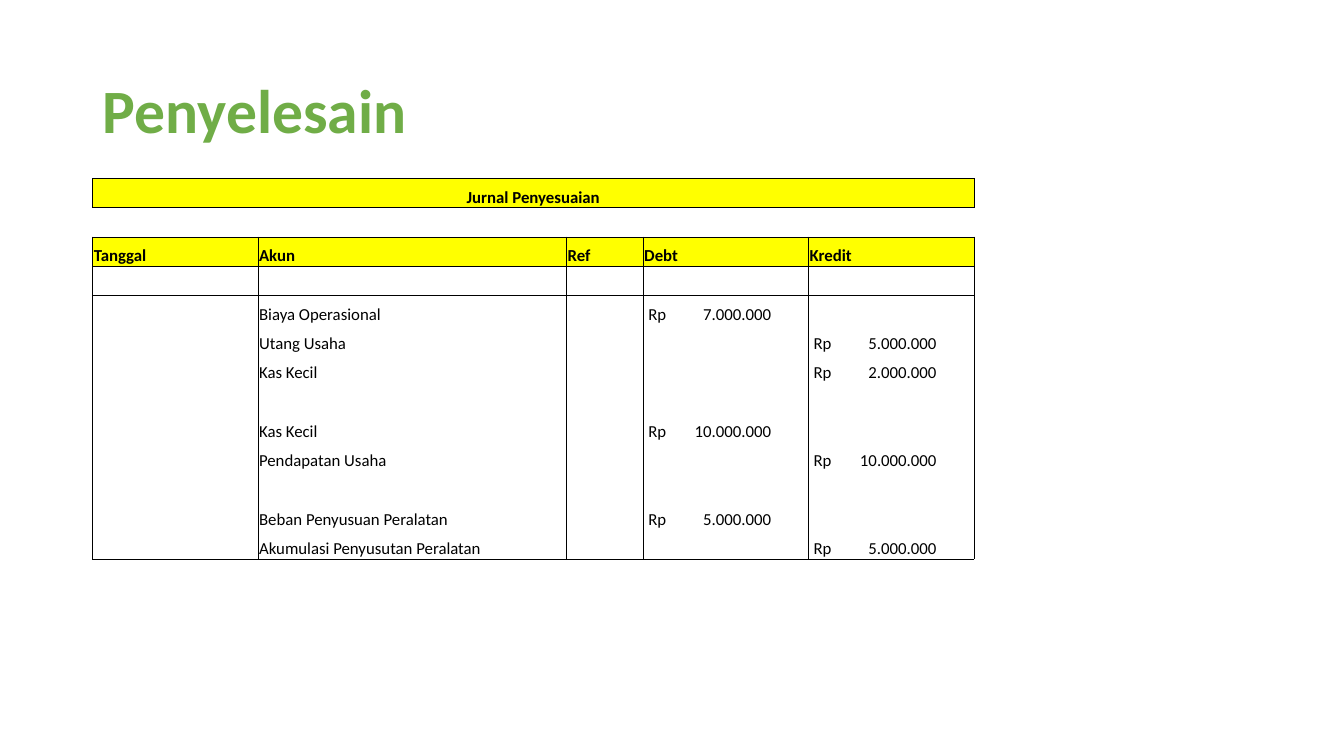
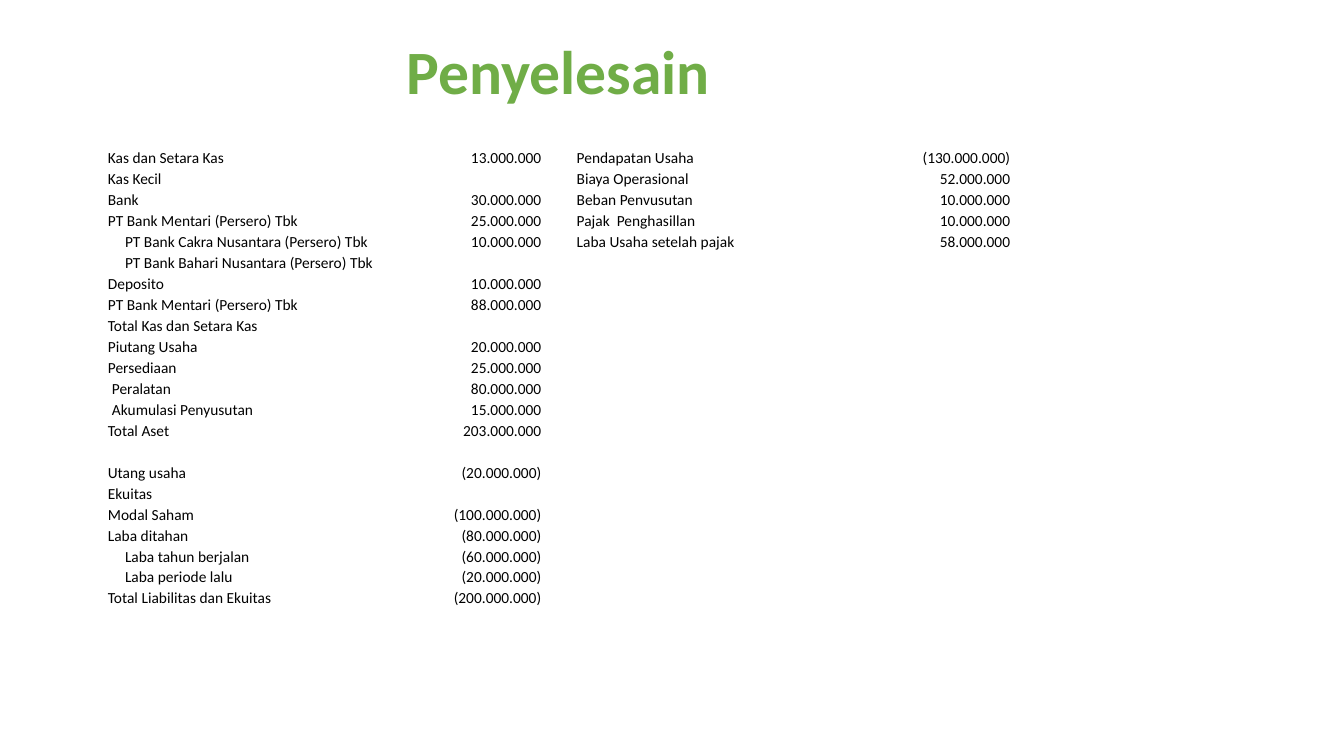
from dataclasses import dataclass

import pptx
import pptx.util
import pptx.dml.color
import pptx.enum.text
import pptx.oxml
import pptx.oxml.ns

Inches, Pt = pptx.util.Inches, pptx.util.Pt
ALIGN = pptx.enum.text.PP_ALIGN
ANCHOR = pptx.enum.text.MSO_ANCHOR
NS = pptx.oxml.ns.nsdecls("a")


@dataclass(frozen=True)
class Theme:
    font: str = "Calibri"
    title_color: str = "70AD47"
    ink: str = "000000"
    header_fill: str = "FFFF00"
    title_size: int = 44
    journal_size: int = 12
    ledger_size: int = 11
    border_width: float = 0.5
    cell_inset: float = 0.01
    plain_table: str = "{2D5ABB26-0587-4C30-8999-92F81FD0307C}"


THEME = Theme()

# Journal: account, debit, credit
JOURNAL_HEADS = ["Tanggal", "Akun", "Ref", "Debt", "Kredit"]
JOURNAL_WIDTHS = [1.64, 3.06, 0.76, 1.64, 1.64]
JOURNAL_ENTRIES = [
    ("", "", ""),
    ("Biaya Operasional", "7.000.000", ""),
    ("Utang Usaha", "", "5.000.000"),
    ("Kas Kecil", "", "2.000.000"),
    ("", "", ""),
    ("Kas Kecil", "10.000.000", ""),
    ("Pendapatan Usaha", "", "10.000.000"),
    ("", "", ""),
    ("Beban Penyusuan Peralatan", "5.000.000", ""),
    ("Akumulasi Penyusutan Peralatan", "", "5.000.000"),
]
RP_INDENT, AMOUNT_TAB = 0.04, 1.22

# Ledgers: label, amount, indent in inches
LEDGER_WIDTHS = [3.4, 0.92]
SUB, NUDGE = 0.17, 0.04
BALANCE = [
    ("Kas dan Setara Kas", "13.000.000", 0),
    ("Kas Kecil", "", 0),
    ("Bank", "30.000.000", 0),
    ("PT Bank Mentari (Persero) Tbk", "25.000.000", 0),
    ("PT Bank Cakra Nusantara (Persero) Tbk", "10.000.000", SUB),
    ("PT Bank Bahari Nusantara (Persero) Tbk", "", SUB),
    ("Deposito", "10.000.000", 0),
    ("PT Bank Mentari (Persero) Tbk", "88.000.000", 0),
    ("Total Kas dan Setara Kas", "", 0),
    ("Piutang Usaha", "20.000.000", 0),
    ("Persediaan", "25.000.000", 0),
    ("Peralatan", "80.000.000", NUDGE),
    ("Akumulasi Penyusutan", "15.000.000", NUDGE),
    ("Total Aset", "203.000.000", 0),
    ("", "", 0),
    ("Utang usaha", "(20.000.000)", 0),
    ("Ekuitas", "", 0),
    ("Modal Saham", "(100.000.000)", 0),
    ("Laba ditahan", "(80.000.000)", 0),
    ("Laba tahun berjalan", "(60.000.000)", SUB),
    ("Laba periode lalu", "(20.000.000)", SUB),
    ("Total Liabilitas dan Ekuitas", "(200.000.000)", 0),
]
INCOME = [
    ("Pendapatan Usaha", "(130.000.000)", 0),
    ("Biaya Operasional", "52.000.000", 0),
    ("Beban Penvusutan", "10.000.000", 0),
    ("Pajak  Penghasillan", "10.000.000", 0),
    ("Laba Usaha setelah pajak", "58.000.000", 0),
]


def write(tf, text, *, size, color=THEME.ink, bold=False, align=ALIGN.LEFT,
          spacing=None, tab=None):
    """Put one formatted paragraph in a text frame."""
    p = tf.paragraphs[0]
    p.alignment = align
    if spacing:
        p.line_spacing = spacing
    if tab:
        p._p.get_or_add_pPr().append(pptx.oxml.parse_xml(
            f'<a:tabLst {NS}><a:tab pos="{Inches(tab)}" algn="r"/></a:tabLst>'))
    if not text:
        # An empty cell still needs its type size, or the row grows
        p._p.append(pptx.oxml.parse_xml(f'<a:endParaRPr {NS} sz="{size * 100}"/>'))
        return
    r = p.add_run()
    r.text = text
    r.font.name = THEME.font
    r.font.size = Pt(size)
    r.font.bold = bold
    r.font.color.rgb = pptx.dml.color.RGBColor.from_string(color)


def add_titled_slide(prs, title, left, top, width, height):
    s = prs.slides.add_slide(prs.slide_layouts[5])
    sp = s.shapes.title
    sp.left, sp.top, sp.width, sp.height = map(Inches, (left, top, width, height))
    tf = sp.text_frame
    tf.word_wrap = True
    tf.auto_size = pptx.enum.text.MSO_AUTO_SIZE.NONE
    tf.vertical_anchor = ANCHOR.MIDDLE
    write(tf, title, size=THEME.title_size, color=THEME.title_color,
          bold=True, spacing=0.9)
    return s


def add_plain_table(s, left, top, widths, n_rows, height):
    """Add an unstyled table with equal rows."""
    frame = s.shapes.add_table(n_rows, len(widths), Inches(left), Inches(top),
                               Inches(sum(widths)), Inches(height))
    table = frame.table
    table.first_row = table.horz_banding = False
    table._tbl.tblPr.find(pptx.oxml.ns.qn("a:tableStyleId")).text = THEME.plain_table
    for column, width in zip(table.columns, widths):
        column.width = Inches(width)
    for row in table.rows:
        row.height = Inches(height / n_rows)
    return table


def fill_cell(cell, text, *, borders="", fill=None, indent=0, **fmt):
    """Write a cell; borders names its ruled sides among L, R, T and B."""
    cell.vertical_anchor = ANCHOR.BOTTOM
    cell.margin_left = Inches(THEME.cell_inset + indent)
    cell.margin_right = cell.margin_top = Inches(THEME.cell_inset)
    cell.margin_bottom = 0
    tcPr = cell._tc.get_or_add_tcPr()
    for side in "LRTB":
        if side in borders:
            tcPr.append(pptx.oxml.parse_xml(
                f'<a:ln{side} {NS} w="{Pt(THEME.border_width)}"><a:solidFill>'
                f'<a:srgbClr val="{THEME.ink}"/></a:solidFill></a:ln{side}>'))
    if fill:
        cell.fill.solid()
        cell.fill.fore_color.rgb = pptx.dml.color.RGBColor.from_string(fill)
    else:
        cell.fill.background()
    write(cell.text_frame, text, **fmt)


def add_journal(s, left, top, height):
    n_cols = len(JOURNAL_WIDTHS)
    table = add_plain_table(s, left, top, JOURNAL_WIDTHS,
                            len(JOURNAL_ENTRIES) + 3, height)
    size = THEME.journal_size
    head = dict(size=size, bold=True, fill=THEME.header_fill, borders="LRTB")

    # Caption, gap and column heads
    table.cell(0, 0).merge(table.cell(0, n_cols - 1))
    for c, name in enumerate(JOURNAL_HEADS):
        fill_cell(table.cell(0, c), "" if c else "Jurnal Penyesuaian",
                  align=ALIGN.CENTER, **head)
        fill_cell(table.cell(1, c), "", size=size, borders="TB")
        fill_cell(table.cell(2, c), name, **head)

    # Entries, ruled between columns and closed at both ends
    last = len(JOURNAL_ENTRIES) - 1
    for i, (account, debit, credit) in enumerate(JOURNAL_ENTRIES):
        borders = "LR" + ("T" if i == 0 else "") + ("B" if i == last else "")
        for c, text in enumerate(["", account, "", debit, credit]):
            money = dict(indent=RP_INDENT, tab=AMOUNT_TAB) if text and c > 2 else {}
            fill_cell(table.cell(i + 3, c), f"Rp\t{text}" if money else text,
                      size=size, borders=borders, **money)


def add_ledger(s, left, top, height, entries):
    table = add_plain_table(s, left, top, LEDGER_WIDTHS, len(entries), height)
    for i, (label, amount, indent) in enumerate(entries):
        fill_cell(table.cell(i, 0), label, size=THEME.ledger_size, indent=indent)
        fill_cell(table.cell(i, 1), amount, size=THEME.ledger_size, align=ALIGN.RIGHT)


def main():
    prs = pptx.Presentation()
    prs.slide_width, prs.slide_height = Inches(13.33), Inches(7.5)

    # Adjusting journal
    s = add_titled_slide(prs, "Penyelesain", 0.92, 0.4, 11.5, 1.45)
    add_journal(s, 0.92, 1.77, 3.78)

    # Balance sheet and income
    s = add_titled_slide(prs, "Penyelesain", 3.93, 0.01, 3.55, 1.45)
    add_ledger(s, 1.06, 1.46, 4.58, BALANCE)
    add_ledger(s, 5.71, 1.46, 1.04, INCOME)

    prs.save("out.pptx")


if __name__ == "__main__":
    main()
